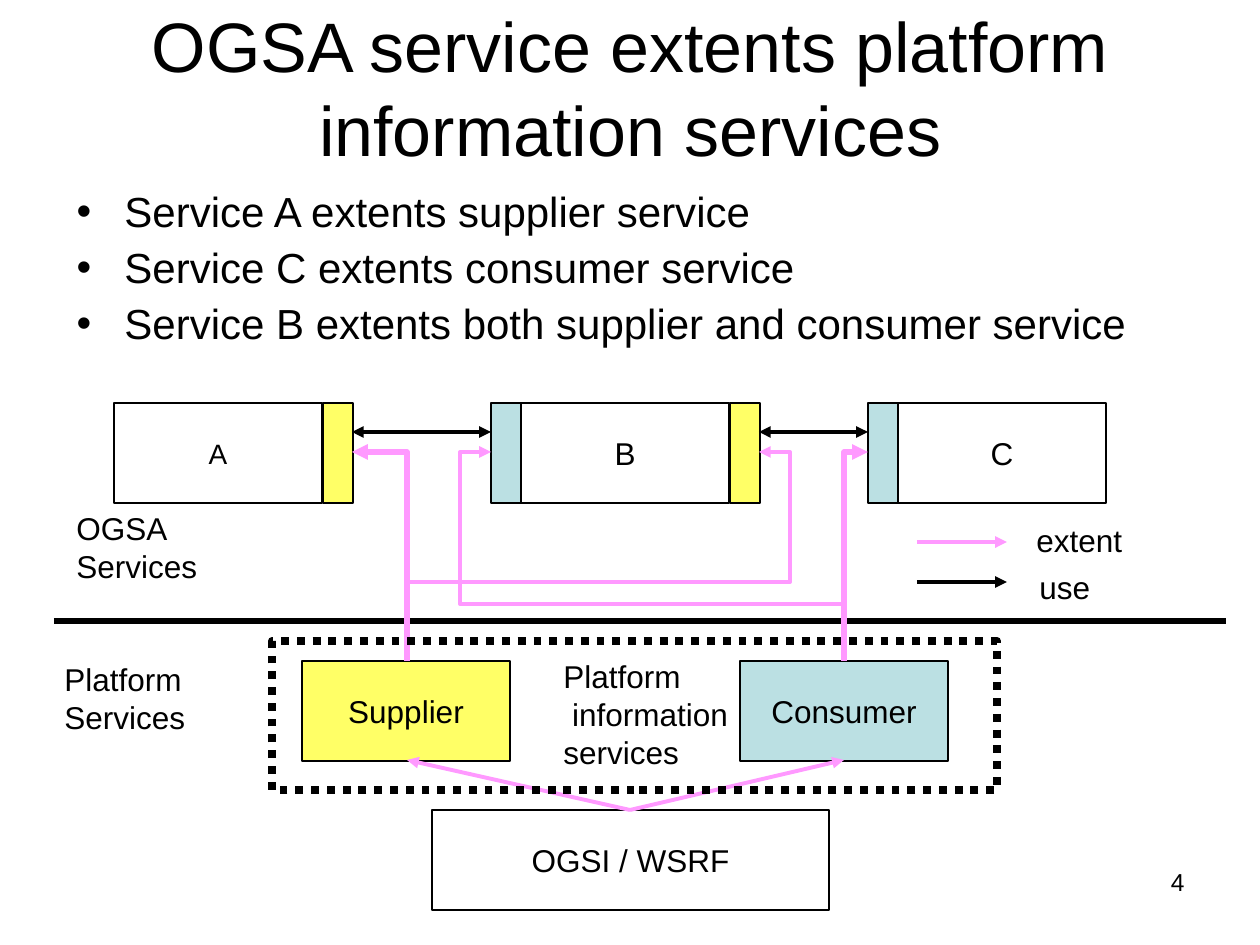
from dataclasses import dataclass

from lxml import etree
from pptx import Presentation
from pptx.dml.color import RGBColor
from pptx.enum.dml import MSO_LINE
from pptx.enum.shapes import MSO_CONNECTOR, MSO_SHAPE
from pptx.enum.text import MSO_ANCHOR, MSO_AUTO_SIZE, PP_ALIGN
from pptx.oxml.ns import qn
from pptx.util import Emu, Inches, Pt

STRAIGHT, ELBOW = MSO_CONNECTOR.STRAIGHT, MSO_CONNECTOR.ELBOW
RECTANGLE, DOTTED = MSO_SHAPE.RECTANGLE, MSO_LINE.ROUND_DOT
LEFT, CENTER, RIGHT = PP_ALIGN.LEFT, PP_ALIGN.CENTER, PP_ALIGN.RIGHT
TOP, MIDDLE = MSO_ANCHOR.TOP, MSO_ANCHOR.MIDDLE
FIXED, GROW = MSO_AUTO_SIZE.NONE, MSO_AUTO_SIZE.SHAPE_TO_FIT_TEXT


@dataclass(frozen=True)
class Theme:
    font: str = "Arial"
    black: str = "000000"
    white: str = "FFFFFF"
    supplier: str = "FFFF66"
    consumer: str = "BBE0E3"
    extent: str = "FF99FF"
    title: int = 40
    body: int = 24
    label: int = 18
    small_label: int = 16
    number: int = 14


THEME = Theme()


@dataclass(frozen=True)
class Block:
    x: int
    y: int
    width: int
    height: int
    fill: str | None = None
    text: str = ""
    size: int = THEME.label
    line_width: float = 0.75


@dataclass(frozen=True)
class Label:
    x: int
    y: int
    width: int
    height: int
    lines: tuple[str, ...]


@dataclass(frozen=True)
class Arrow:
    start: tuple[int, int]
    end: tuple[int, int]
    color: str = THEME.black
    width: float = 2.25
    head: bool = False
    tail: bool = True


@dataclass(frozen=True)
class BentArrow:
    """Leaves upwards; lane is the y of a detour, turn the x of its far side."""
    start: tuple[int, int]
    end: tuple[int, int]
    width: float
    lane: int | None = None
    turn: int | None = None


def px(value: float) -> Emu:
    return Emu(round(value * 914400 / 126))


def rgb(value: str) -> RGBColor:
    return RGBColor.from_string(value)


def place(shape, x: float, y: float, width: float, height: float) -> None:
    shape.left, shape.top, shape.width, shape.height = map(px, (x, y, width, height))


def write(shape, *lines: str, size: int = THEME.label, align=LEFT, anchor=TOP,
          wrap: bool = True, fit=FIXED, bullets: bool = False) -> None:
    frame = shape.text_frame
    frame.word_wrap, frame.auto_size, frame.vertical_anchor = wrap, fit, anchor
    for index, line in enumerate(lines):
        para = frame.add_paragraph() if index else frame.paragraphs[0]
        para.alignment = align
        para.space_before = Pt(6 if bullets and index else 0)
        if bullets:
            para.line_spacing = 0.9
            properties = para._p.get_or_add_pPr()
            properties.set("marL", str(Inches(0.38)))
            properties.set("indent", str(-Inches(0.38)))
            etree.SubElement(properties, qn("a:buChar"), char="•")
        span = para.add_run()
        span.text = line
        span.font.name, span.font.size = THEME.font, Pt(size)
        span.font.color.rgb = rgb(THEME.black)


def draw_block(page, block: Block):
    shape = page.shapes.add_shape(RECTANGLE, 0, 0, 0, 0)
    place(shape, block.x, block.y, block.width, block.height)
    shape.shadow.inherit = False
    if block.fill:
        shape.fill.solid()
        shape.fill.fore_color.rgb = rgb(block.fill)
    else:
        shape.fill.background()
    shape.line.color.rgb = rgb(THEME.black)
    shape.line.width = Pt(block.line_width)
    if block.text:
        write(shape, block.text, size=block.size, align=CENTER, anchor=MIDDLE, wrap=False)
    return shape


def draw_label(page, label: Label) -> None:
    box = page.shapes.add_textbox(0, 0, 0, 0)
    write(box, *label.lines, wrap=False, fit=GROW)
    place(box, label.x, label.y, label.width, label.height)


def style_line(connector, color: str, width: float, head: bool, tail: bool) -> None:
    connector.line.color.rgb = rgb(color)
    connector.line.width = Pt(width)
    outline = connector.line._get_or_add_ln()
    for tag, wanted in (("a:headEnd", head), ("a:tailEnd", tail)):
        if wanted:
            etree.SubElement(outline, qn(tag), type="triangle")
    etree.SubElement(connector._element.spPr, qn("a:effectLst"))


def draw_arrow(page, arrow: Arrow) -> None:
    connector = page.shapes.add_connector(
        STRAIGHT, *map(px, (*arrow.start, *arrow.end)))
    style_line(connector, arrow.color, arrow.width, arrow.head, arrow.tail)


def draw_bent_arrow(page, arrow: BentArrow) -> None:
    (x1, y1), (x2, y2) = arrow.start, arrow.end
    rise, run = y1 - y2, abs(x2 - x1)
    connector = page.shapes.add_connector(ELBOW, 0, 0, 0, 0)
    # The frame is given before its quarter turn: the rise is its width
    place(connector, (x1 + x2 - rise) / 2, (y1 + y2 - run) / 2, rise, run)
    properties = connector._element.spPr
    transform = properties.find(qn("a:xfrm"))
    transform.set("flipV", "1")
    transform.set("rot", str((90 if x2 > x1 else 270) * 60000))
    if x2 > x1:
        transform.set("flipH", "1")
    geometry = properties.find(qn("a:prstGeom"))
    geometry.set("prst", "bentConnector2" if arrow.lane is None else "bentConnector4")
    if arrow.lane is not None:
        ratios = ((y1 - arrow.lane) / rise, abs(arrow.turn - x1) / run)
        guides = geometry.find(qn("a:avLst"))
        for number, ratio in enumerate(ratios, 1):
            etree.SubElement(guides, qn("a:gd"), name=f"adj{number}",
                             fmla=f"val {round(ratio * 100000)}")
    style_line(connector, THEME.extent, arrow.width, False, True)


BOX_WIDTH, BOX_HEIGHT, PORT_WIDTH = 208, 100, 30
SERVICE_Y, PLATFORM_Y, USE_Y, EXTENT_Y = 403, 661, 432, 452
SUPPLIER, CONSUMER, BASE = (407, PLATFORM_Y), (844, PLATFORM_Y), (630, 810)


def draw_service(page, x: int, name: str, size: int = THEME.label,
                 consumes: bool = False, supplies: bool = False) -> None:
    draw_block(page, Block(x, SERVICE_Y, BOX_WIDTH, BOX_HEIGHT, THEME.white, name, size))
    for present, port_x, color in ((consumes, x - PORT_WIDTH, THEME.consumer),
                                   (supplies, x + BOX_WIDTH + 1, THEME.supplier)):
        if present:
            draw_block(page, Block(port_x, SERVICE_Y, PORT_WIDTH, BOX_HEIGHT, color))


def main() -> None:
    deck = Presentation()
    deck.slide_width, deck.slide_height = px(1260), px(945)
    page = deck.slides.add_slide(deck.slide_layouts[1])

    # Title and list
    title, body = page.placeholders
    place(title, 63, 38, 1134, 97)
    write(title, "OGSA service extents platform information services",
          size=THEME.title, align=CENTER, anchor=MIDDLE)
    place(body, 64, 185, 1133, 183)
    write(body, "Service A extents supplier service", "Service C extents consumer service",
          "Service B extents both supplier and consumer service",
          size=THEME.body, bullets=True)

    # Services, with a port for each role
    draw_service(page, 521, "B", consumes=True, supplies=True)
    draw_service(page, 898, "C", consumes=True)
    draw_service(page, 114, "A", THEME.small_label, supplies=True)

    # Platform layer
    draw_arrow(page, Arrow((54, 621), (1226, 621), width=3, tail=False))
    for block in (
        Block(302, PLATFORM_Y, BOX_WIDTH, BOX_HEIGHT, THEME.supplier, "Supplier"),
        Block(740, PLATFORM_Y, BOX_WIDTH, BOX_HEIGHT, THEME.consumer, "Consumer"),
        Block(432, BASE[1], 397, BOX_HEIGHT, THEME.white, "OGSI / WSRF"),
    ):
        draw_block(page, block)

    # Extent relations
    for x, y in (SUPPLIER, CONSUMER):
        draw_arrow(page, Arrow(BASE, (x, y + BOX_HEIGHT - 1), THEME.extent))
    for bent in (
        BentArrow(CONSUMER, (868, EXTENT_Y), 3),
        BentArrow(CONSUMER, (491, EXTENT_Y), 2.25, lane=604, turn=460),
        BentArrow(SUPPLIER, (759, EXTENT_Y), 2.25, lane=582, turn=790),
        BentArrow(SUPPLIER, (352, EXTENT_Y), 3),
    ):
        draw_bent_arrow(page, bent)

    # Frame around the information services, and layer names
    frame = draw_block(page, Block(272, 641, 725, 149, line_width=4.5))
    frame.line.dash_style = DOTTED
    for label in (
        Label(52, 654, 146, 88, ("Platform", "Services")),
        Label(64, 503, 146, 88, ("OGSA", "Services")),
        Label(551, 651, 198, 126, ("Platform", " information", "services")),
        Label(1024, 515, 111, 50, ("extent",)),
        Label(1027, 562, 76, 50, ("use",)),
    ):
        draw_label(page, label)

    # Use relations and legend
    for arrow in (
        Arrow((352, USE_Y), (491, USE_Y), head=True),
        Arrow((759, USE_Y), (868, USE_Y), head=True),
        Arrow((917, 542), (1007, 542), THEME.extent),
        Arrow((917, 582), (1007, 582)),
    ):
        draw_arrow(page, arrow)

    # Page number
    number = page.shapes.add_textbox(px(903), px(861), px(294), px(66))
    write(number, "4", size=THEME.number, align=RIGHT)
    deck.save("out.pptx")


if __name__ == "__main__":
    main()
